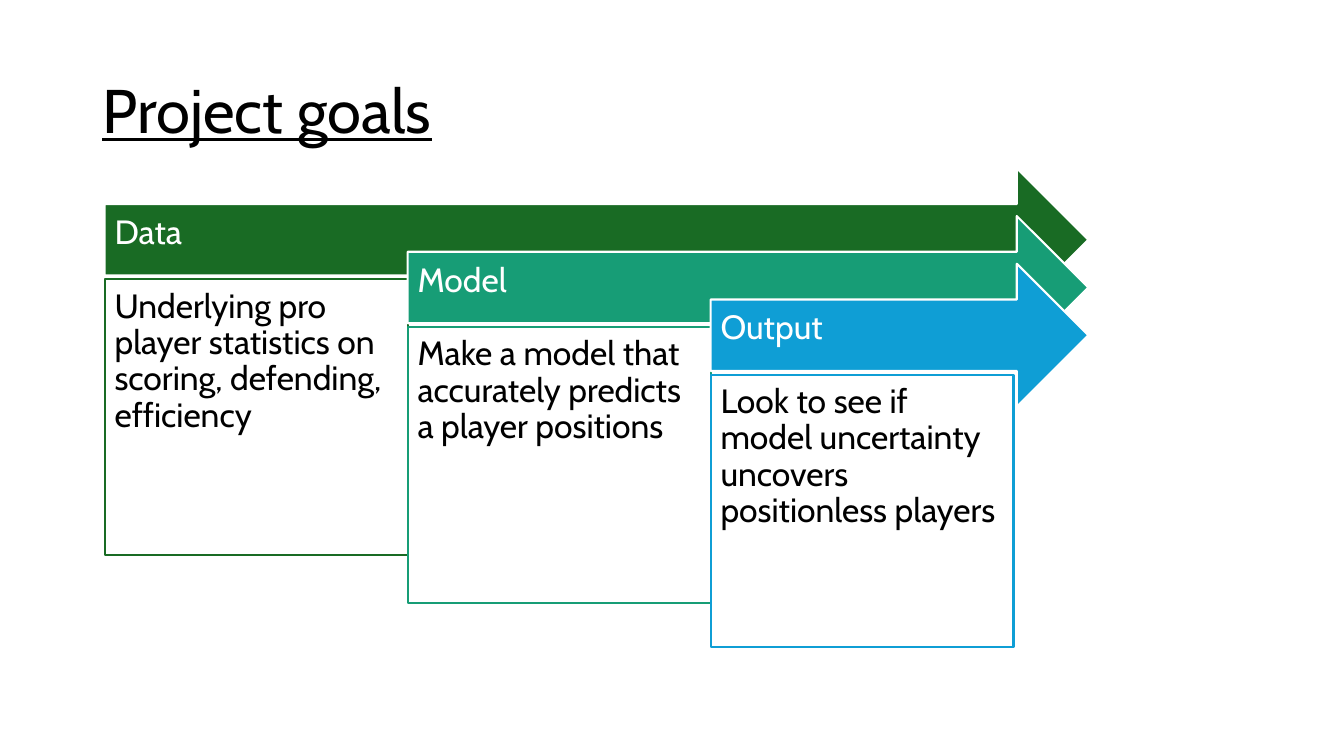
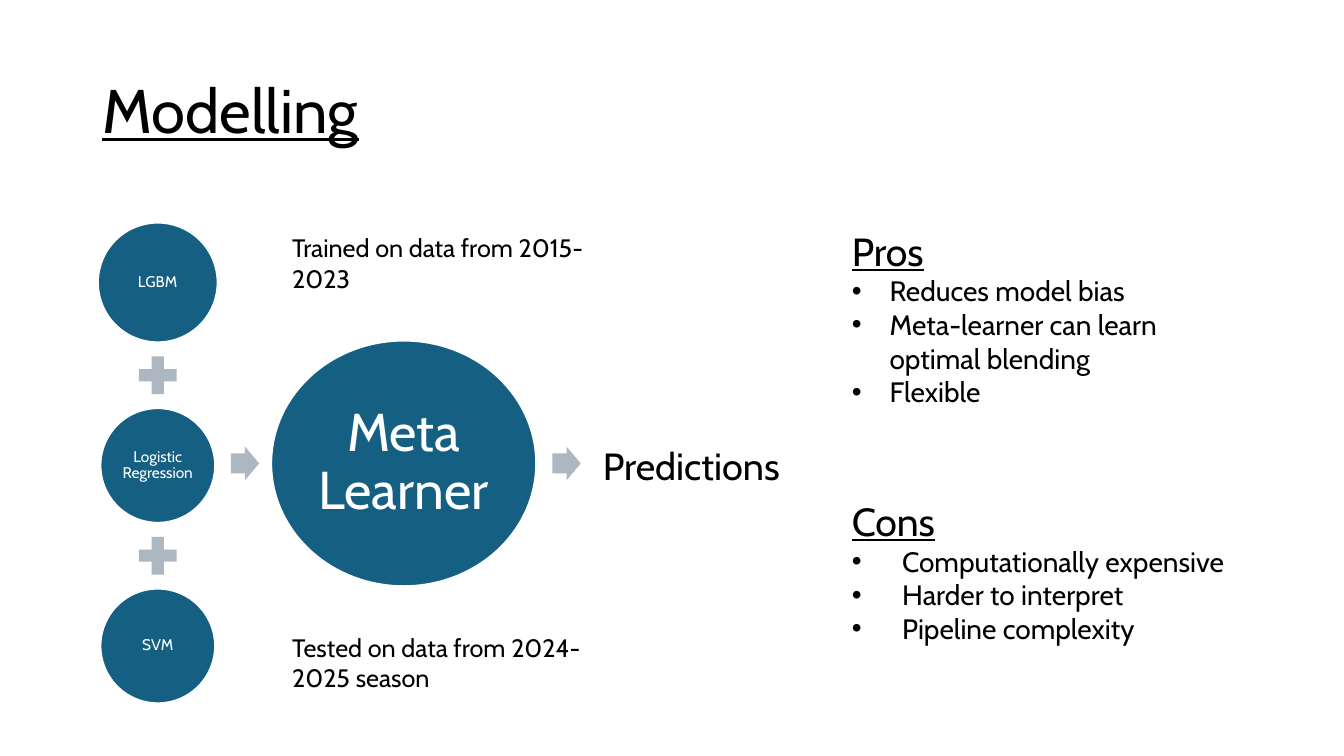
import lxml.etree
import pptx
import pptx.dml.color
import pptx.enum.shapes
import pptx.enum.text
import pptx.oxml.ns
import pptx.util

Pt = pptx.util.Pt
KIND = pptx.enum.shapes.MSO_SHAPE
ANCHOR = pptx.enum.text.MSO_ANCHOR
ALIGN = pptx.enum.text.PP_ALIGN

FONT = "Cabin"
BLACK, WHITE = "000000", "FFFFFF"
BLUE, GREY = "156082", "ACB7C1"
INSET = (7.2, 3.6, 7.2, 3.6)
TITLE = (66, 28.8, 828, 104.4)

STAGES = [
    ("Data", "Underlying pro player statistics on scoring, defending, efficiency", "196B24", 197.3),
    ("Model", "Make a model that accurately predicts a player positions", "179D76", 197.3),
    ("Output", "Look to see if model uncertainty uncovers positionless players", "0F9ED5", 194.4),
]
MODELS = ["LGBM", "Logistic Regression", "SVM"]
NOTES = [("Trained on data from 2015-2023", 162.7),
         ("Tested on data from 2024-2025 season", 447.8)]
LISTS = [
    ("Pros", ["Reduces model bias", "Meta-learner can learn optimal blending", "Flexible"],
     (601.2, 158.4, 288, 138.2), 27),
    ("Cons", ["Computationally expensive", "Harder to interpret", "Pipeline complexity"],
     (601.2, 351.4, 288, 113.8), 36),
]


def color(code):
    return pptx.dml.color.RGBColor.from_string(code)


def place(item, box):
    item.left, item.top, item.width, item.height = map(Pt, box)


def setup(frame, anchor=ANCHOR.TOP, inset=INSET):
    frame.word_wrap = True
    frame.auto_size = pptx.enum.text.MSO_AUTO_SIZE.NONE
    frame.vertical_anchor = anchor
    (frame.margin_left, frame.margin_top,
     frame.margin_right, frame.margin_bottom) = map(Pt, inset)


def write(para, text, size, ink=BLACK, align=ALIGN.LEFT, space=0.9, under=False):
    para.alignment = align
    para.line_spacing = space
    para.space_before = Pt(0)
    run = para.add_run()
    run.text = text
    font = run.font
    font.name, font.size, font.underline = FONT, Pt(size), under
    font.color.rgb = color(ink)


def draw(slide, kind, box, fill, line=None):
    shape = slide.shapes.add_shape(kind, *map(Pt, box))
    shape.shadow.inherit = False
    shape.fill.solid()
    shape.fill.fore_color.rgb = color(fill)
    if line:
        shape.line.color.rgb = color(line)
        shape.line.width = Pt(1.5)
    else:
        shape.line.fill.background()
    return shape


def label(slide, box, text, size, anchor=ANCHOR.TOP, inset=INSET, space=1.0):
    frame = slide.shapes.add_textbox(*map(Pt, box)).text_frame
    setup(frame, anchor, inset)
    write(frame.paragraphs[0], text, size, space=space)


def start(deck, layout, text):
    slide = deck.slides.add_slide(deck.slide_layouts[layout])
    title = slide.shapes.title
    place(title, TITLE)
    setup(title.text_frame, ANCHOR.MIDDLE)
    write(title.text_frame.paragraphs[0], text, 44, under=True)
    return slide


# One stage: a banner arrow with its text box below
def stage(slide, box, name, text, tone, wide, tall):
    left, top, width, height = box
    arrow = draw(slide, KIND.RIGHT_ARROW, box, tone, WHITE)
    setup(arrow.text_frame, ANCHOR.MIDDLE, (7.2, 7.2, 20, 16.2))
    write(arrow.text_frame.paragraphs[0], name, 24, WHITE)
    card = draw(slide, KIND.RECTANGLE, (left, top + 79.2, wide, tall), WHITE, tone)
    setup(card.text_frame, inset=(7.2,) * 4)
    write(card.text_frame.paragraphs[0], text, 24)


def goals(deck):
    slide = start(deck, 5, "Project goals")
    left, top, right, step, drop = 74.8, 120.2, 777.4, 216.4, 34.1
    for i, (name, text, tone, tall) in enumerate(STAGES):
        x = left + i * step
        stage(slide, (x, top + i * drop, right - x, 102.2), name, text, tone, step, tall)


def disc(slide, box, text, size, inset):
    shape = draw(slide, KIND.OVAL, box, BLUE, WHITE)
    setup(shape.text_frame, ANCHOR.MIDDLE, (inset,) * 4)
    write(shape.text_frame.paragraphs[0], text, size, WHITE, ALIGN.CENTER)


# Column of models joined by plus signs
def column(slide, mid, top, gap=5.1, plus=36.7):
    for i, name in enumerate(MODELS):
        if i:
            draw(slide, KIND.MATH_PLUS, (mid - plus / 2, top, plus, plus), GREY)
            top += plus + gap
        size = 82 if i else 85.6
        disc(slide, (mid - size / 2, top, size, size), name, 11, 1.4)
        top += size + gap


# Models feed the learner, which gives predictions
def flow(slide, mid):
    column(slide, 112.7, 159)
    for x in (164.9, 394.6):
        arrow = draw(slide, KIND.RIGHT_ARROW, (x, mid - 12, 20.2, 24), GREY)
        arrow.adjustments[0] = 0.6
    disc(slide, (193.7, mid - 87.8, 189.4, 175.6), "Meta Learner", 38, 3.6)
    label(slide, (430.6, 298.1, 150.5, 51.1), "Predictions", 27,
          ANCHOR.BOTTOM, (0,) * 4, 0.9)


def bullet(para, sign, indent):
    props = para._p.get_or_add_pPr()
    props.set("marL", str(Pt(indent)))
    props.set("indent", str(-Pt(indent)))
    tag = pptx.oxml.ns.qn("a:buChar" if sign else "a:buNone")
    mark = lxml.etree.SubElement(props, tag)
    if sign:
        mark.set("char", sign)


# Underlined heading with bullets below
def points(holder, head, items, box, indent):
    place(holder, box)
    frame = holder.text_frame
    setup(frame)
    para = frame.paragraphs[0]
    bullet(para, None, 0)
    write(para, head, 28, space=1.0, under=True)
    for item in items:
        para = frame.add_paragraph()
        bullet(para, "•", indent)
        write(para, item, 20, space=1.0)


def model(deck):
    slide = start(deck, 3, "Modelling")
    flow(slide, 331)
    for text, top in NOTES:
        label(slide, (201.6, top, 239.8, 51.1), text, 18)
    for i, part in enumerate(LISTS, 1):
        points(slide.placeholders[i], *part)


def main():
    deck = pptx.Presentation()
    deck.slide_width, deck.slide_height = Pt(960), Pt(540)
    goals(deck)
    model(deck)
    deck.save("out.pptx")


if __name__ == "__main__":
    main()
